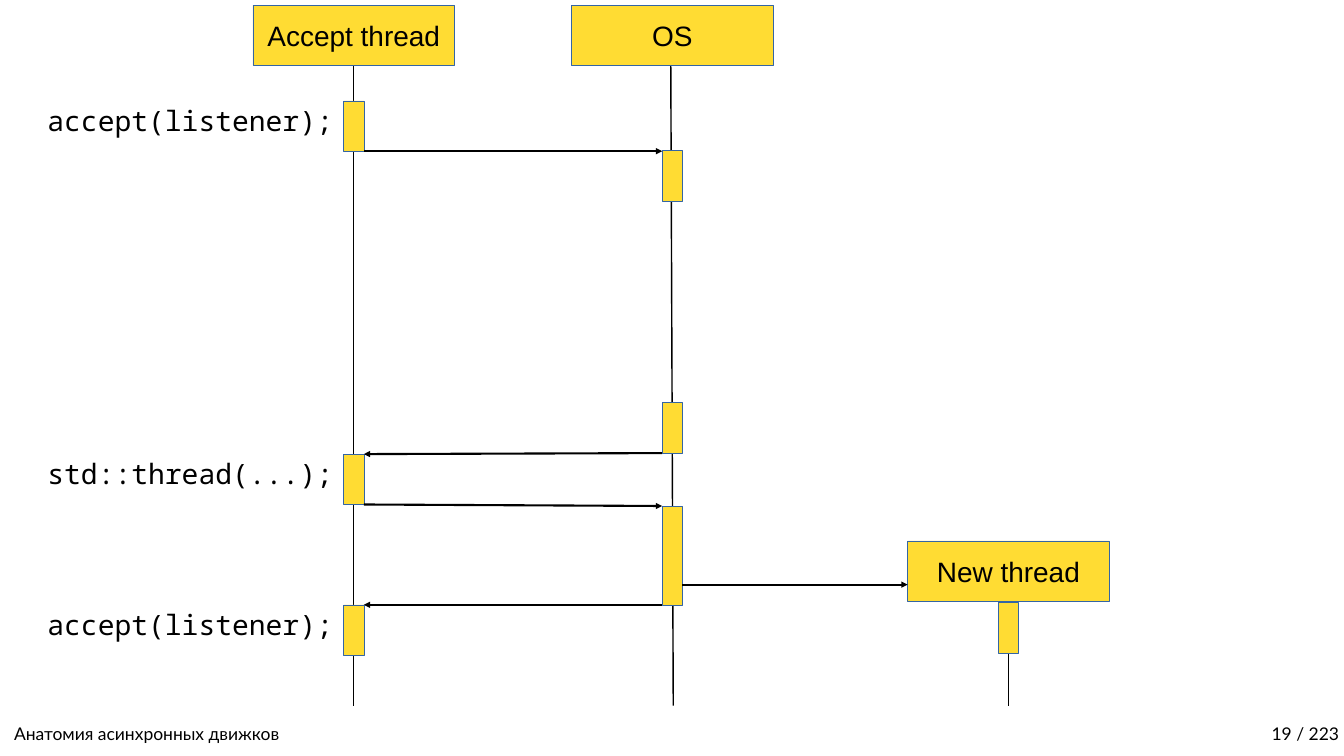
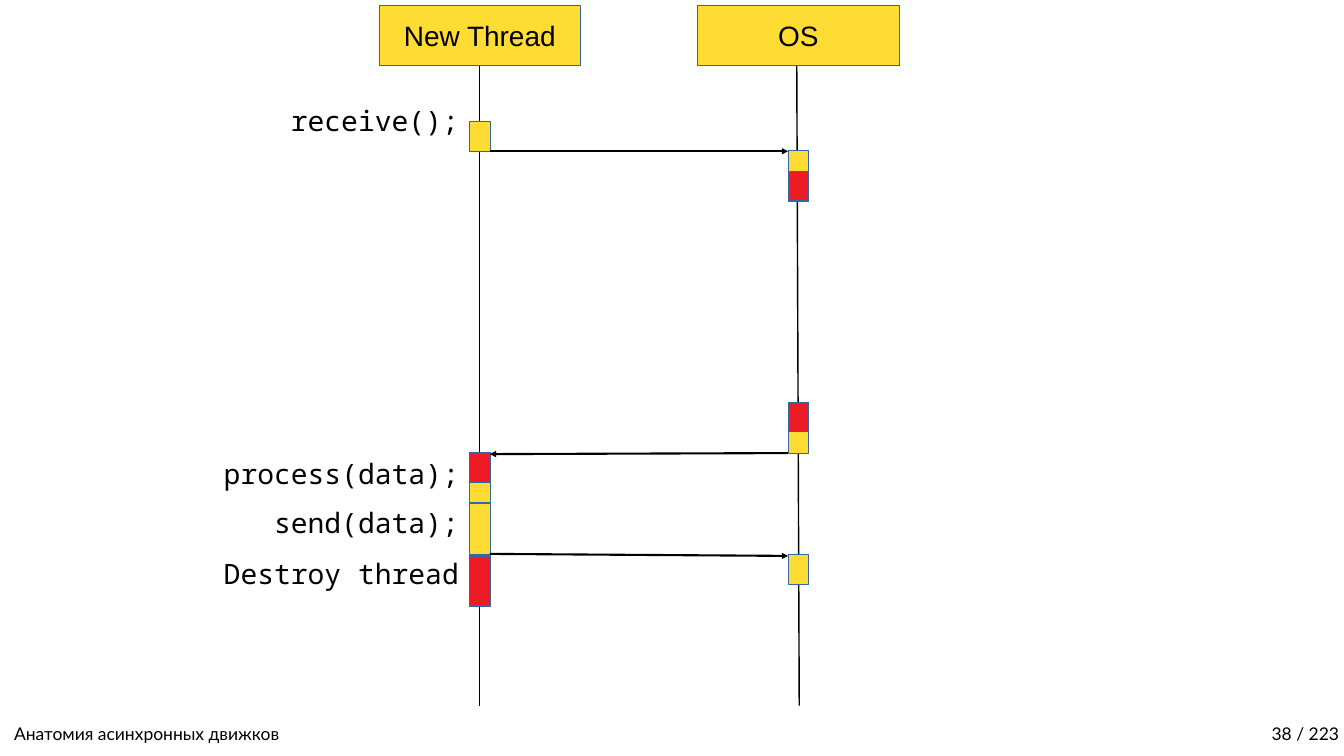
from dataclasses import dataclass

from lxml.etree import SubElement
from pptx import Presentation
from pptx.dml.color import RGBColor
from pptx.enum.shapes import MSO_CONNECTOR as Connector, MSO_SHAPE as Shape
from pptx.enum.text import MSO_ANCHOR as Anchor, PP_ALIGN as Align
from pptx.oxml.ns import qn
from pptx.util import Inches, Pt


@dataclass(frozen=True)
class Theme:
    yellow: RGBColor = RGBColor(0xFF, 0xDC, 0x33)
    red: RGBColor = RGBColor(0xED, 0x1C, 0x24)
    outline: RGBColor = RGBColor(0x34, 0x65, 0xA4)
    black: RGBColor = RGBColor(0, 0, 0)
    header_font: str = "Arial"
    code_font: str = "Noto Sans Mono"
    footer_font: str = "Lato"
    text_size: int = 40
    footer_size: int = 25
    hairline: int = 0
    arrow_width: int = 3


theme = Theme()
HEADER_WIDTH, HEADER_HEIGHT, HEADER_TOP = 4, 1.2, 0.1
BAR_WIDTH = 0.4
HALF_BAR = BAR_WIDTH / 2
LIFELINE_BOTTOM = 14
LABEL_WIDTH, LABEL_GAP = 6.2, 0.32
FOOTER_WIDTH = 11.35

# Horizontal distances are measured from the lifeline of the first thread.
THREAD, OS, NEW_THREAD = 0, 6.32, 12.99
THREAD_EDGE, OS_EDGE = THREAD + HALF_BAR, OS - HALF_BAR

# lifelines, arrows: (x1, y1, x2, y2); headers: (centre, top, name);
# bars: (centre, top, height, colour); labels: (top, text)
diagrams = [
    {
        "axis": 7.02,
        "page": "19 / 223",
        "lifelines": [(NEW_THREAD, 11.1, NEW_THREAD, LIFELINE_BOTTOM)],
        "headers": [(THREAD, HEADER_TOP, "Accept thread"), (OS, HEADER_TOP, "OS"),
                    (NEW_THREAD, 10.73, "New thread")],
        "bars": [
            (THREAD, 2, 1, theme.yellow),
            (OS, 2.99, 1, theme.yellow),
            (OS, 7.99, 1, theme.yellow),
            (THREAD, 9.01, 1, theme.yellow),
            (OS, 10.04, 1.96, theme.yellow),
            (NEW_THREAD, 11.96, 1, theme.yellow),
            (THREAD, 12, 1, theme.yellow),
        ],
        "arrows": [
            (THREAD_EDGE, 10.01, OS_EDGE, 10.04),
            (OS_EDGE, 12, THREAD_EDGE, 12),
            (OS + HALF_BAR, 11.6, NEW_THREAD - HEADER_WIDTH / 2, 11.6),
        ],
        "labels": [(2, "accept(listener);"), (9.01, "std::thread(...);"),
                   (12, "accept(listener);")],
    },
    {
        "axis": 9.52,
        "page": "38 / 223",
        "lifelines": [],
        "headers": [(THREAD, HEADER_TOP, "New Thread"), (OS, HEADER_TOP, "OS")],
        "bars": [
            (THREAD, 2.4, 0.6, theme.yellow),
            (OS, 2.99, 1, theme.yellow),
            (OS, 7.99, 1, theme.yellow),
            (THREAD, 8.97, 1, theme.yellow),
            (OS, 11, 0.6, theme.yellow),
            (THREAD, 11.02, 1, theme.yellow),
            (THREAD, 9.99, 1, theme.yellow),
            (THREAD, 9, 0.57, theme.red),
            (OS, 3.4, 0.57, theme.red),
            (OS, 7.99, 0.57, theme.red),
            (THREAD, 11.04, 0.97, theme.red),
        ],
        "arrows": [(THREAD_EDGE, 10.99, OS_EDGE, 11.03)],
        "labels": [(2, "receive();"), (9.01, "process(data);"),
                   (9.99, "send(data);"), (11, "Destroy thread")],
    },
]

shared_lifelines = [(THREAD, 0.3, THREAD, LIFELINE_BOTTOM),
                    (OS - 0.03, 1, OS + 0.02, LIFELINE_BOTTOM)]
shared_arrows = [(THREAD_EDGE, 3, OS_EDGE, 3),
                 (OS_EDGE, 8.99, THREAD_EDGE, 9.01)]


def write_text(shape, text, font_name, size, alignment, anchor, wrap=True):
    frame = shape.text_frame
    frame.text = text
    frame.word_wrap = wrap
    frame.vertical_anchor = anchor
    paragraph = frame.paragraphs[0]
    paragraph.alignment = alignment
    font = paragraph.runs[0].font
    font.name = font_name
    font.size = Pt(size)
    font.color.rgb = theme.black
    return paragraph


def add_line(slide, axis, ends, width, arrow=False):
    """Draw a black line whose x values are distances from the axis."""
    x1, y1, x2, y2 = ends
    line = slide.shapes.add_connector(
        Connector.STRAIGHT, Inches(axis + x1), Inches(y1), Inches(axis + x2), Inches(y2))
    line.line.color.rgb = theme.black
    line.line.width = Pt(width)
    properties = line._element.spPr
    if arrow:
        SubElement(properties.find(qn("a:ln")), qn("a:tailEnd"), type="triangle")
    SubElement(properties, qn("a:effectLst"))


presentation = Presentation()
presentation.slide_width = Inches(26.67)
presentation.slide_height = Inches(15)
blank_layout = presentation.slide_layouts[6]

for diagram in diagrams:
    slide = presentation.slides.add_slide(blank_layout)
    axis = diagram["axis"]

    for ends in shared_lifelines + diagram["lifelines"]:
        add_line(slide, axis, ends, theme.hairline)

    boxes = [(centre, top, HEADER_WIDTH, HEADER_HEIGHT, theme.yellow, name)
             for centre, top, name in diagram["headers"]]
    boxes += [(centre, top, BAR_WIDTH, height, color, None)
              for centre, top, height, color in diagram["bars"]]
    for centre, top, width, height, color, name in boxes:
        box = slide.shapes.add_shape(
            Shape.RECTANGLE, Inches(axis + centre - width / 2), Inches(top),
            Inches(width), Inches(height))
        box.shadow.inherit = False
        box.fill.solid()
        box.fill.fore_color.rgb = color
        box.line.color.rgb = theme.outline
        box.line.width = Pt(theme.hairline)
        if name:
            write_text(box, name, theme.header_font, theme.text_size,
                       Align.CENTER, Anchor.MIDDLE, wrap=False)

    for ends in shared_arrows + diagram["arrows"]:
        add_line(slide, axis, ends, theme.arrow_width, arrow=True)

    for top, text in diagram["labels"]:
        label = slide.shapes.add_textbox(
            Inches(axis - LABEL_GAP - LABEL_WIDTH), Inches(top),
            Inches(LABEL_WIDTH), Inches(1))
        write_text(label, text, theme.code_font, theme.text_size, Align.RIGHT, Anchor.TOP)

    for left, text, alignment in [(0.18, "Анатомия асинхронных движков", Align.LEFT),
                                  (15.32, diagram["page"], Align.RIGHT)]:
        footer = slide.shapes.add_textbox(
            Inches(left), Inches(14.25), Inches(FOOTER_WIDTH), Inches(0.56))
        paragraph = write_text(footer, text, theme.footer_font, theme.footer_size,
                               alignment, Anchor.BOTTOM)
        paragraph.line_spacing = 0.9

presentation.save("out.pptx")
